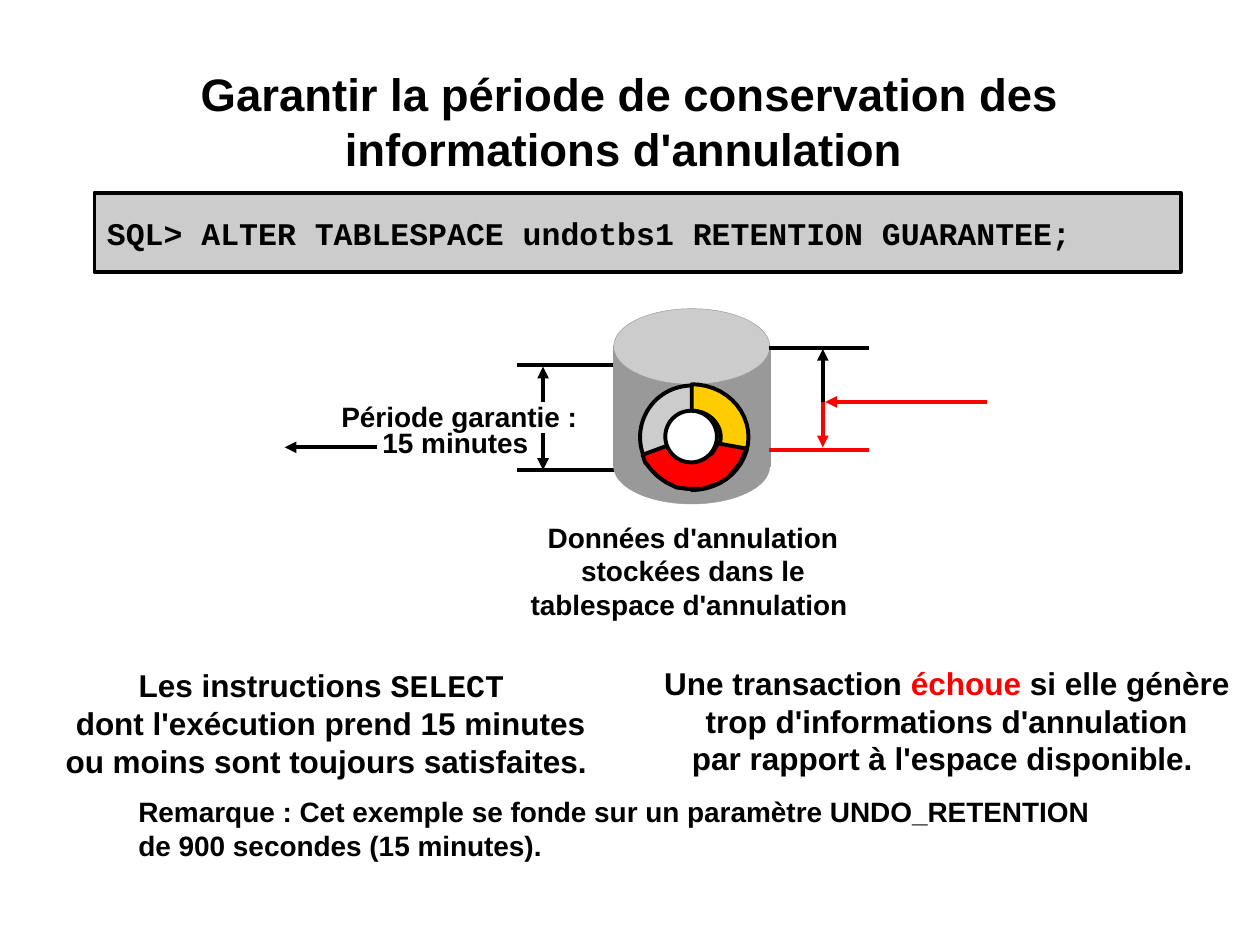
from math import cos, pi, sin

from lxml.etree import SubElement
from pptx import Presentation
from pptx.dml.color import RGBColor
from pptx.enum.shapes import MSO_CONNECTOR, MSO_SHAPE
from pptx.enum.text import MSO_ANCHOR, PP_ALIGN
from pptx.oxml.ns import qn
from pptx.util import Inches, Pt

BLACK, RED, WHITE = "000000", "FF0000", "FFFFFF"
LIGHT, GREY, YELLOW = "CCCCCC", "999999", "FFCC00"
SANS, MONO = "Arial", "Courier New"


def color(value):
    return RGBColor.from_string(value)


class SlideBuilder:
    def __init__(self, page):
        self.page = page
        self.line_width = 2.25

    def paint(self, shape, fill, line, width):
        shape.shadow.inherit = False
        shape.fill.solid()
        shape.fill.fore_color.rgb = color(fill)
        shape.line.color.rgb = color(line)
        shape.line.width = Pt(width)
        return shape

    def shape(self, kind, bounds, fill, line=BLACK, width=None, group=None):
        shapes = group.shapes if group else self.page.shapes
        shape = shapes.add_shape(kind, *map(Inches, bounds))
        return self.paint(shape, fill, line, width or self.line_width)

    def outline(self, points, fill):
        corners = [(Inches(x), Inches(y)) for x, y in points]
        builder = self.page.shapes.build_freeform(*corners[0])
        builder.add_line_segments(corners[1:], close=True)
        return self.paint(builder.convert_to_shape(), fill, BLACK, self.line_width)

    def line(self, start, end, stroke=BLACK, arrow=False):
        connector = self.page.shapes.add_connector(
            MSO_CONNECTOR.STRAIGHT, *map(Inches, (*start, *end)))
        connector.line.color.rgb = color(stroke)
        connector.line.width = Pt(self.line_width)
        properties = connector.element.spPr
        if arrow:
            SubElement(properties.find(qn("a:ln")), qn("a:tailEnd"), type="triangle")
        SubElement(properties, qn("a:effectLst"))

    def set_text(self, box, spans, size, font=SANS, align=PP_ALIGN.CENTER, spacing=None):
        para = box.text_frame.paragraphs[0]
        para.alignment = align
        if spacing:
            para.line_spacing = spacing
        para.font.size = Pt(size)
        para.font.bold = True
        para.font.name = font
        para.font.color.rgb = color(BLACK)
        for text, own_font, own_color in spans:
            for index, piece in enumerate(text.split("\n")):
                if index:
                    para.add_line_break()
                if not piece:
                    continue
                span = para.add_run()
                span.text = piece
                if own_font:
                    span.font.name = own_font
                if own_color:
                    span.font.color.rgb = color(own_color)

    def text(self, bounds, spans, size, wrap=True, anchor=MSO_ANCHOR.TOP, **style):
        box = self.page.shapes.add_textbox(*map(Inches, bounds))
        box.text_frame.word_wrap = wrap
        box.text_frame.vertical_anchor = anchor
        if isinstance(spans, str):
            spans = [(spans, None, None)]
        self.set_text(box, spans, size, **style)

    def code(self, bounds, text, size):
        box = self.shape(MSO_SHAPE.RECTANGLE, bounds, LIGHT)
        box.text_frame.word_wrap = True
        box.text_frame.vertical_anchor = MSO_ANCHOR.MIDDLE
        self.set_text(box, [(text, None, BLACK)], size, font=MONO, align=PP_ALIGN.LEFT)

    def cylinder(self, left, top, width, height, cap):
        group = self.page.shapes.add_group_shape()
        body = (left, top + cap / 2, width, height - cap)
        self.shape(MSO_SHAPE.RECTANGLE, body, GREY, GREY, 0.25, group)
        for cap_top, fill in ((top, LIGHT), (top + height - cap, GREY)):
            self.shape(MSO_SHAPE.OVAL, (left, cap_top, width, cap), fill, GREY, 0.25, group)


def half_ring(center_x, center_y, outer, inner, steps=24):
    angles = [pi * step / steps - pi / 2 for step in range(steps + 1)]

    def arc(radii, order):
        return [(center_x + radii[0] * cos(a), center_y + radii[1] * sin(a)) for a in order]

    return arc(inner, angles) + arc(outer, reversed(angles))


def main():
    deck = Presentation()
    deck.slide_width, deck.slide_height = Inches(10), Inches(7.5)
    slide = SlideBuilder(deck.slides.add_slide(deck.slide_layouts[6]))

    for y in (2.9, 3.73):
        slide.line((4.1, y), (4.9, y))
    slide.text((0.67, 0.48, 8.66, 0.96),
               "Garantir la période de conservation des informations d'annulation ",
               26, anchor=MSO_ANCHOR.MIDDLE)
    slide.text((5.03, 5.22, 4.97, 1), [
        ("Une transaction ", None, None),
        ("échoue", None, RED),
        (" si elle génère\ntrop d'informations d'annulation\n"
         "par rapport à l'espace disponible. ", None, None)], 18)
    slide.text((0.38, 5.24, 4.49, 1), [
        ("Les instructions ", None, None),
        ("SELECT \n", MONO, None),
        ("dont l'exécution prend 15 minutes\n"
         "ou moins sont toujours satisfaites. ", None, None)], 18, wrap=False)

    slide.cylinder(4.87, 2.45, 1.24, 1.55, 0.6)
    slide.text((3.95, 4.08, 3.1, 0.9),
               "Données d'annulation stockées dans le tablespace d'annulation ", 16)

    slide.shape(MSO_SHAPE.OVAL, (5.08, 3.06, 0.82, 0.82), LIGHT)
    slide.outline(half_ring(5.49, 3.47, (0.45, 0.42), (0.23, 0.21)), YELLOW)
    slide.line((5.38, 3.52), (5.6, 3.57))
    red_sector = [
        (5.29, 3.54), (5.1, 3.61), (5.12, 3.67), (5.17, 3.73), (5.22, 3.78),
        (5.29, 3.83), (5.37, 3.87), (5.46, 3.88), (5.57, 3.88), (5.64, 3.86),
        (5.72, 3.83), (5.78, 3.79), (5.82, 3.74), (5.87, 3.68), (5.9, 3.62),
        (5.92, 3.56), (5.7, 3.52), (5.65, 3.6), (5.51, 3.67), (5.36, 3.62)]
    slide.outline(red_sector, RED)
    slide.shape(MSO_SHAPE.OVAL, (5.28, 3.26, 0.41, 0.41), WHITE)

    slide.line((6.1, 2.76), (6.9, 2.76))
    slide.line((6.1, 3.57), (6.9, 3.57), RED)
    arrows = [
        ((6.53, 3.12), (6.53, 3.55), RED),
        ((6.53, 3.19), (6.53, 2.77), BLACK),
        ((7.83, 3.19), (6.55, 3.19), RED),
        ((2.99, 3.55), (2.26, 3.55), BLACK),
        ((4.31, 3.44), (4.31, 3.73), BLACK),
        ((4.31, 3.19), (4.31, 2.91), BLACK)]
    for start, end, stroke in arrows:
        slide.line(start, end, stroke, arrow=True)
    slide.text((2.35, 3.17, 2.59, 0.53), "Période garantie :\n15 minutes ", 16, spacing=0.8)

    slide.code((0.75, 1.53, 8.62, 0.63),
               "SQL> ALTER TABLESPACE undotbs1 RETENTION GUARANTEE;", 18)
    slide.text((1, 6.26, 8.5, 0.64),
               "Remarque : Cet exemple se fonde sur un paramètre UNDO_RETENTION\n"
               "de 900 secondes (15 minutes).", 16, align=PP_ALIGN.LEFT)
    deck.save("out.pptx")


if __name__ == "__main__":
    main()
